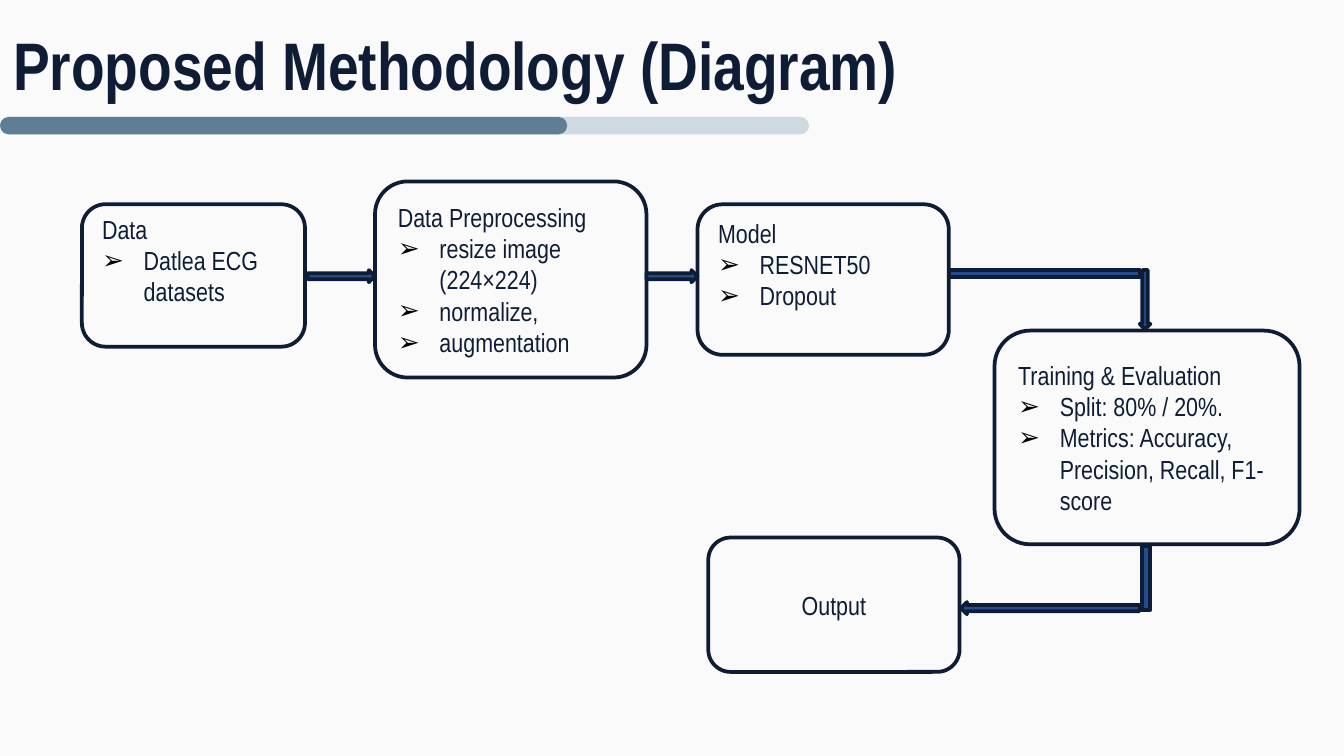
import dataclasses

import lxml.etree
import pptx
import pptx.dml.color
import pptx.enum.shapes
import pptx.enum.text
import pptx.oxml.ns
import pptx.util

RGB = pptx.dml.color.RGBColor
KIND = pptx.enum.shapes.MSO_SHAPE
ALIGN = pptx.enum.text.PP_ALIGN
ANCHOR = pptx.enum.text.MSO_ANCHOR

NAVY = RGB(0x0E, 0x1D, 0x35)
BLUE = RGB(0x25, 0x4D, 0x8D)
PALE = RGB(0xCF, 0xD9, 0xE0)
STEEL = RGB(0x5F, 0x7D, 0x95)
PAPER = RGB(0xFA, 0xFA, 0xFA)
FONT = "Arial Narrow"
SCALE = 9144
WIDTH = 1000 * SCALE
HEIGHT = WIDTH * 9 // 16
INDENT = 31
INSET = 5
LINE = 23


@dataclasses.dataclass(frozen=True)
class Area:
    left: int
    top: int
    width: int
    height: int

    def emu(self) -> list[int]:
        return [n * SCALE for n in dataclasses.astuple(self)]


@dataclasses.dataclass(frozen=True)
class Step:
    area: Area
    title: str
    items: tuple[str, ...] = ()
    spare: int = 0


@dataclasses.dataclass(frozen=True)
class Link:
    kind: KIND
    area: Area


BARS = ((602, PALE), (422, STEEL))

STEPS = (
    Step(Area(61, 152, 166, 106), "Data", ("Datlea ECG datasets",), LINE),
    Step(Area(279, 135, 202, 146), "Data Preprocessing",
         ("resize image (224×224)", "normalize,", "augmentation")),
    Step(Area(519, 152, 187, 112), "Model", ("RESNET50", "Dropout"), LINE),
    Step(Area(740, 246, 227, 159), "Training & Evaluation",
         ("Split: 80% / 20%.",
          "Metrics: Accuracy, Precision, Recall, F1-score")),
    Step(Area(527, 400, 187, 100), "Output"),
)

LINKS = (
    Link(KIND.RIGHT_ARROW, Area(229, 201, 50, 9)),
    Link(KIND.RIGHT_ARROW, Area(481, 201, 38, 9)),
    Link(KIND.RECTANGLE, Area(706, 201, 142, 5)),
    Link(KIND.DOWN_ARROW, Area(848, 201, 8, 44)),
    Link(KIND.LEFT_ARROW, Area(715, 448, 133, 9)),
    Link(KIND.RECTANGLE, Area(850, 406, 6, 48)),
)


def style(para, size: int, bold: bool = False) -> None:
    for run in para.runs:
        run.font.name = FONT
        run.font.size = pptx.util.Pt(size)
        run.font.bold = bold
        run.font.color.rgb = NAVY


def bullet(para) -> None:
    props = para._p.get_or_add_pPr()
    props.set("marL", str(INDENT * SCALE))
    props.set("indent", str(-INDENT * SCALE))
    name = pptx.oxml.ns.qn
    tint = lxml.etree.SubElement(props, name("a:buClr"))
    lxml.etree.SubElement(tint, name("a:srgbClr"), val="000000")
    lxml.etree.SubElement(props, name("a:buFont"), typeface="Arial")
    lxml.etree.SubElement(props, name("a:buChar"), char="➢")


def shape(slide, kind: KIND, area: Area, fill: RGB, edge: bool = True):
    item = slide.shapes.add_shape(kind, *area.emu())
    item.shadow.inherit = False
    item.fill.solid()
    item.fill.fore_color.rgb = fill
    if edge:
        item.line.color.rgb = NAVY
        item.line.width = pptx.util.Pt(2)
    else:
        item.line.fill.background()
    return item


def title(slide) -> None:
    frame = slide.shapes.add_textbox(*Area(0, 19, 699, 65).emu()).text_frame
    frame.word_wrap = True
    frame.auto_size = pptx.enum.text.MSO_AUTO_SIZE.SHAPE_TO_FIT_TEXT
    frame.text = "Proposed Methodology (Diagram)"
    para = frame.paragraphs[0]
    para.line_spacing = 0.9
    para.space_after = pptx.util.Pt(6)
    style(para, 36, True)


def bar(slide, width: int, fill: RGB) -> None:
    item = shape(slide, KIND.ROUND_2_SAME_RECTANGLE,
                 Area(0, 87, width, 13), fill, False)
    item.adjustments[0] = item.adjustments[1] = 0.5


def step(slide, data: Step) -> None:
    frame = shape(slide, KIND.ROUNDED_RECTANGLE, data.area, PAPER).text_frame
    frame.word_wrap = True
    frame.vertical_anchor = ANCHOR.MIDDLE
    frame.margin_bottom = (INSET + data.spare) * SCALE
    frame.text = "\n".join((data.title, *data.items))
    for para in frame.paragraphs:
        para.alignment = ALIGN.LEFT if data.items else ALIGN.CENTER
        style(para, 14)
    for para in frame.paragraphs[1:]:
        bullet(para)


def main() -> None:
    deck = pptx.Presentation()
    deck.slide_width, deck.slide_height = WIDTH, HEIGHT
    slide = deck.slides.add_slide(deck.slide_layouts[6])
    slide.background.fill.solid()
    slide.background.fill.fore_color.rgb = PAPER
    title(slide)
    for width, fill in BARS:
        bar(slide, width, fill)
    for data in STEPS:
        step(slide, data)
    for link in LINKS:
        shape(slide, link.kind, link.area, BLUE)
    deck.save("out.pptx")


if __name__ == "__main__":
    main()
